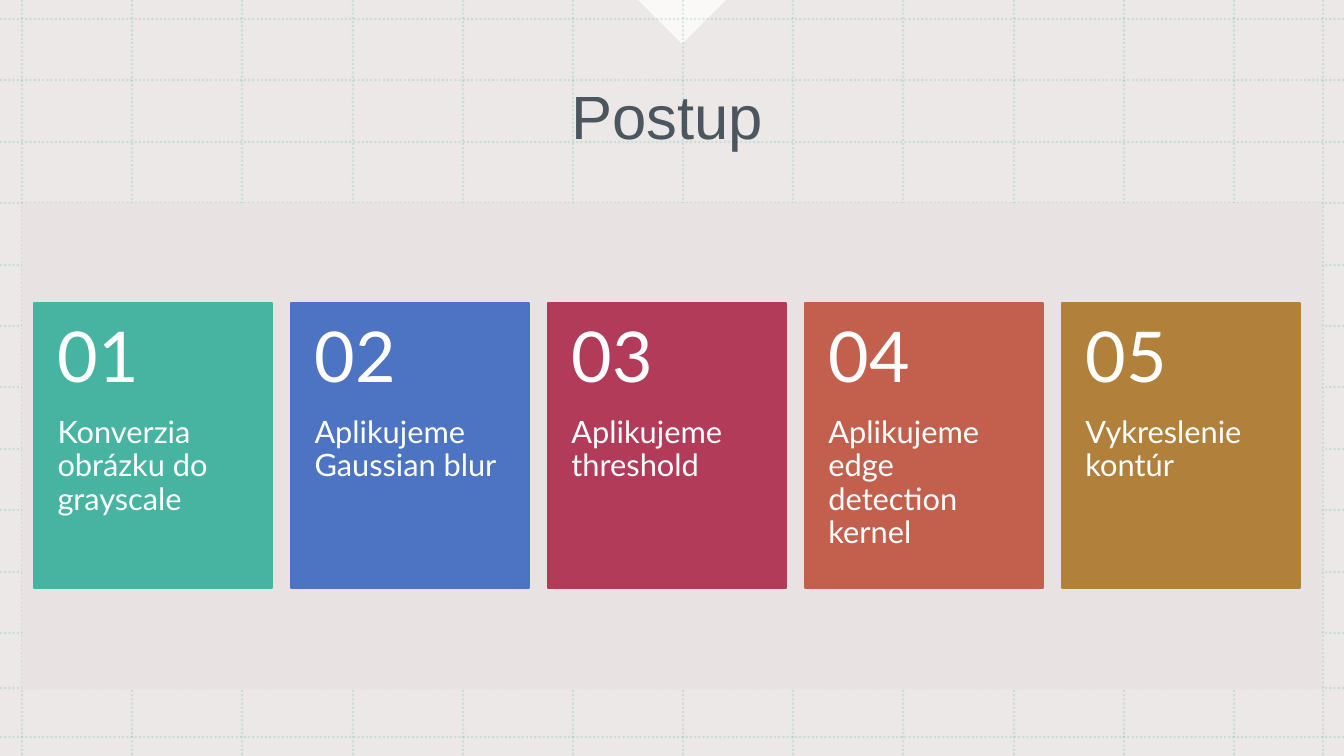
"""Build the five-step procedure slide."""
from lxml.etree import SubElement
from pptx import Presentation
from pptx.dml.color import RGBColor
from pptx.enum.dml import MSO_LINE
from pptx.enum.shapes import MSO_CONNECTOR, MSO_SHAPE
from pptx.enum.text import MSO_ANCHOR, PP_ALIGN
from pptx.oxml.ns import qn
from pptx.util import Emu, Pt

SCALE = 914400 / 100.8
WIDE, HIGH = 1344, 756
COLORS = {
    "white": "FFFFFF", "veil": "E8E3E2", "title": "23323E", "teal": "46B4A1",
    "blue": "4D74C3", "red": "B13B58", "coral": "C3604D", "gold": "B1803B",
}
STEPS = [
    ("teal", "Konverzia obrázku do grayscale"),
    ("blue", "Aplikujeme Gaussian blur"),
    ("red", "Aplikujeme threshold"),
    ("coral", "Aplikujeme edge detection kernel"),
    ("gold", "Vykreslenie kontúr"),
]


def px(*sizes):
    """Turn pixels into EMU lengths."""
    return [Emu(round(size * SCALE)) for size in sizes]


def tint(name):
    """Return a named colour."""
    return RGBColor.from_string(COLORS[name])


def fade(item, percent):
    """Set the opacity of every plain colour in an element."""
    for color in item.iter(qn("a:srgbClr")):
        SubElement(color, qn("a:alpha")).set("val", str(percent * 1000))


def add_block(shapes, box, color, alpha=100, kind=MSO_SHAPE.RECTANGLE, edge=False):
    """Add a flat filled shape."""
    block = shapes.add_shape(kind, *px(*box))
    block.shadow.inherit = False
    block.fill.solid()
    block.fill.fore_color.rgb = tint(color)
    if edge:
        block.line.color.rgb = tint(color)
        block.line.width = Pt(1)
    else:
        block.line.fill.background()
    if alpha < 100:
        fade(block.element, alpha)
    return block


def add_rule(shapes, ends):
    """Add one faint dotted grid line."""
    rule = shapes.add_connector(MSO_CONNECTOR.STRAIGHT, *px(*ends))
    rule.line.color.rgb = tint("teal")
    rule.line.width = Pt(1.5)
    rule.line.dash_style = MSO_LINE.ROUND_DOT
    SubElement(rule.element.spPr, qn("a:effectLst"))
    fade(rule.element, 20)


def add_grid(shapes):
    """Add the evenly spaced grid with its closing lines."""
    grid = shapes.add_group_shape().shapes
    for x in [round(22 + 110.18 * i) for i in range(12)] + [1323]:
        add_rule(grid, (x, 0, x, HIGH))
    for y in [round(19 + 61.4 * i) for i in range(11)] + [688, 737]:
        add_rule(grid, (0, y, WIDE, y))


def write(frame, text, font, size, color):
    """Fill a text frame with one run and return its paragraph."""
    frame.word_wrap = True
    para = frame.paragraphs[0]
    para.line_spacing = 0.9
    run = para.add_run()
    run.text = text
    run.font.name = font
    run.font.size = Pt(size)
    run.font.color.rgb = tint(color)
    return para


def add_label(shapes, box, text, size, pads, anchor):
    """Add white card text with top and bottom insets."""
    frame = shapes.add_textbox(*px(*box)).text_frame
    frame.margin_left, frame.margin_right = px(23.5, 23.5)
    frame.margin_top, frame.margin_bottom = px(*pads)
    frame.vertical_anchor = anchor
    write(frame, text, "Lato", size, "white")


def add_cards(shapes):
    """Add the row of numbered step cards."""
    cards = shapes.add_group_shape().shapes
    for i, (color, text) in enumerate(STEPS):
        left = 34 + 257 * i
        add_block(cards, (left, 303, 238, 285), color, edge=True)
        add_label(cards, (left, 417, 238, 171), text, 22, (0, 36), MSO_ANCHOR.TOP)
        add_label(cards, (left, 303, 238, 114), f"{i + 1:02}", 50, (18, 18),
                  MSO_ANCHOR.MIDDLE)


def set_title(shapes, text):
    """Place and format the title above the panel."""
    title = shapes.title
    title.left, title.top, title.width, title.height = px(33, 37, 1268, 165)
    title.text_frame.vertical_anchor = MSO_ANCHOR.MIDDLE
    para = write(title.text_frame, text, "Arial", 44, "title")
    para.alignment = PP_ALIGN.CENTER
    fade(title.element, 80)
    shapes.element.append(title.element)


def main():
    """Build and save the slide."""
    deck = Presentation()
    deck.slide_width, deck.slide_height = px(WIDE, HIGH)
    slide = deck.slides.add_slide(deck.slide_layouts[5])
    shapes = slide.shapes
    add_block(shapes, (0, 0, WIDE, HIGH), "veil", 80)
    notch = add_block(shapes, (651, -31, 62, 62), "white", 75, MSO_SHAPE.RIGHT_TRIANGLE)
    notch.rotation = 315
    add_grid(shapes)
    add_block(shapes, (22, 203, 1300, 486), "veil")
    set_title(shapes, "Postup")
    add_cards(shapes)
    deck.save("out.pptx")


if __name__ == "__main__":
    main()
